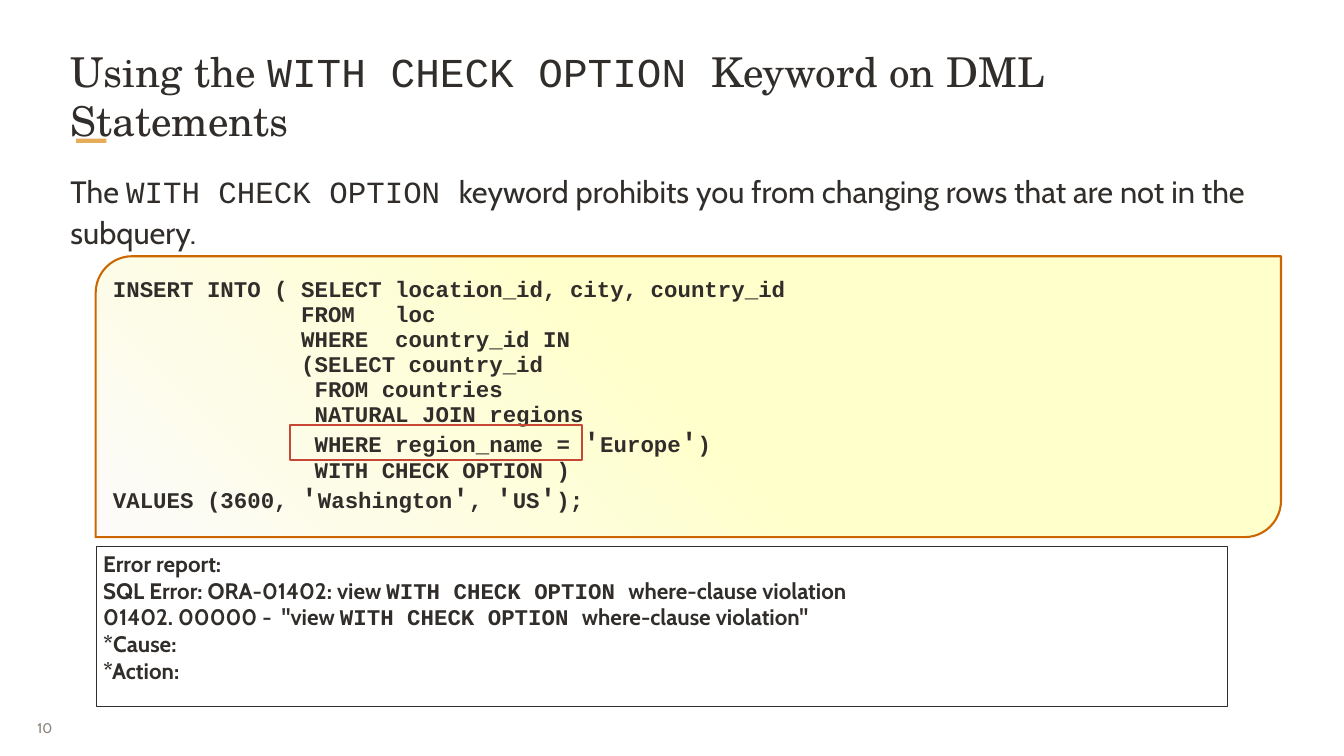
"""Build a slide on the WITH CHECK OPTION keyword in DML statements."""
import dataclasses

import lxml.etree
import pptx
import pptx.dml.color
import pptx.enum.shapes
import pptx.enum.text
import pptx.oxml.ns
import pptx.util

Pt = pptx.util.Pt
SHAPES = pptx.enum.shapes.MSO_SHAPE
ALIGN = pptx.enum.text.PP_ALIGN
ANCHOR = pptx.enum.text.MSO_ANCHOR


@dataclasses.dataclass(frozen=True)
class Theme:
    ink: str = "312D2A"
    muted: str = "8B8078"
    accent: str = "E6AC58"
    alert: str = "C74634"
    code_line: str = "CC6600"
    code_fill: str = "FFFFCC"
    code_fade: str = "FCFBFA"
    heading: str = "TeX Gyre Schola"
    sans: str = "Cabin"
    mono: str = "Courier New"
    title_size: int = 44
    body_size: int = 33
    quote_size: int = 30
    code_size: int = 24
    number_size: int = 15


THEME = Theme()
KEYWORD = "WITH CHECK OPTION "
TITLE = f"Using the {KEYWORD}Keyword on DML Statements"
BODY = (f"The {KEYWORD}keyword prohibits you from changing rows "
        "that are not in the subquery.")
CODE = """\
INSERT INTO ( SELECT location_id, city, country_id
              FROM   loc
              WHERE  country_id IN
              (SELECT country_id
               FROM countries
               NATURAL JOIN regions
               WHERE region_name = 'Europe')
               WITH CHECK OPTION )
VALUES (3600, 'Washington', 'US');"""
ERROR = f"""\
Error report:
SQL Error: ORA-01402: view {KEYWORD}where-clause violation
01402. 00000 -  "view {KEYWORD}where-clause violation"
*Cause:
*Action:"""


def color(value):
    """Turn a hex string into a colour."""
    return pptx.dml.color.RGBColor.from_string(value)


def place(box, left, top, width, height):
    """Move and size a box, in points."""
    box.left, box.top, box.width, box.height = map(Pt, (left, top, width, height))


def set_frame(frame, insets, anchor=ANCHOR.TOP, wrap=True):
    """Set the margins, anchor and wrapping of a text frame."""
    frame.auto_size = pptx.enum.text.MSO_AUTO_SIZE.NONE
    frame.word_wrap = wrap
    frame.vertical_anchor = anchor
    (frame.margin_left, frame.margin_top,
     frame.margin_right, frame.margin_bottom) = map(Pt, insets)


def format_span(span, font, size, bold, ink=THEME.ink):
    """Give a span its font, size, weight and colour."""
    span.font.name = font
    span.font.size = Pt(size)
    span.font.bold = bold
    span.font.color.rgb = color(ink)


def write(frame, text, mark, base, marked, bold=False, spacing=None):
    """Write lines, giving each occurrence of mark its own font and size."""
    for index, line in enumerate(text.split("\n")):
        para = frame.add_paragraph() if index else frame.paragraphs[0]
        para.alignment = ALIGN.LEFT
        para.space_before = Pt(0)
        para.line_spacing = spacing
        for position, piece in enumerate(line.split(mark)):
            if position:
                span = para.add_run()
                span.text = mark
                format_span(span, *marked, bold)
            if piece:
                span = para.add_run()
                span.text = piece
                format_span(span, *base, bold)


def add_box(page, kind, bounds, line=None, weight=0):
    """Add an unfilled shape with an optional outline."""
    box = page.shapes.add_shape(kind, *map(Pt, bounds))
    box.shadow.inherit = False
    box.fill.background()
    if line:
        box.line.color.rgb = color(line)
        box.line.width = Pt(weight)
    else:
        box.line.fill.background()
    return box


def fill_placeholder(box, bounds, text, font, size, spacing=None):
    """Place a template placeholder and write its text without a bullet."""
    place(box, *bounds)
    set_frame(box.text_frame, (2, 2, 2, 2))
    properties = box.text_frame.paragraphs[0]._p.get_or_add_pPr()
    properties.set("marL", "0")
    properties.set("indent", "0")
    lxml.etree.SubElement(properties, pptx.oxml.ns.qn("a:buNone"))
    write(box.text_frame, text, KEYWORD, (font, size), (THEME.mono, size),
          spacing=spacing)


def add_code(page, bounds):
    """Add the SQL statement on a gradient panel."""
    box = add_box(page, SHAPES.ROUND_2_DIAG_RECTANGLE, bounds, THEME.code_line, 2.25)
    box.adjustments[0] = 0.13
    box.fill.gradient()
    box.fill.gradient_angle = 225
    start, end = box.fill.gradient_stops
    start.position = 0.5
    start.color.rgb = color(THEME.code_fill)
    end.color.rgb = color(THEME.code_fade)
    set_frame(box.text_frame, (7, 11, 1.5, 1.5))
    write(box.text_frame, CODE, "'", (THEME.mono, THEME.code_size),
          (THEME.mono, THEME.quote_size), bold=True, spacing=0.93)


def add_error(page, bounds):
    """Add the outlined error report."""
    box = add_box(page, SHAPES.RECTANGLE, bounds, THEME.ink, 0.75)
    set_frame(box.text_frame, (7.2, 3.6, 7.2, 3.6))
    write(box.text_frame, ERROR, KEYWORD, (THEME.sans, THEME.code_size),
          (THEME.mono, THEME.code_size), bold=True)


def add_page_number(page, bounds, number):
    """Add the page number in the lower left corner."""
    box = page.shapes.add_textbox(*map(Pt, bounds))
    set_frame(box.text_frame, (9, 5, 9, 5), ANCHOR.MIDDLE, wrap=False)
    box.text_frame.text = number
    para = box.text_frame.paragraphs[0]
    para.alignment = ALIGN.JUSTIFY
    format_span(para.runs[0], THEME.sans, THEME.number_size, False, THEME.muted)


def main():
    """Build and save the deck."""
    deck = pptx.Presentation()
    deck.slide_width, deck.slide_height = Pt(1440), Pt(810)
    page = deck.slides.add_slide(deck.slide_layouts[1])
    fill_placeholder(page.shapes.title, (73.5, 48, 1293, 92), TITLE,
                     THEME.heading, THEME.title_size)
    fill_placeholder(page.placeholders[1], (73.5, 179.5, 1293, 132.5), BODY,
                     THEME.sans, THEME.body_size, spacing=1.1)
    rule = add_box(page, SHAPES.RECTANGLE, (81.5, 148.5, 32.5, 4.5))
    rule.fill.solid()
    rule.fill.fore_color.rgb = color(THEME.accent)
    add_code(page, (102.5, 274.5, 1270, 301))
    add_box(page, SHAPES.RECTANGLE, (310.5, 455.5, 313, 37.5), THEME.alert, 2.25)
    add_error(page, (103.5, 585.5, 1212, 171.5))
    add_page_number(page, (31, 759, 47, 42), "10")
    deck.save("out.pptx")


if __name__ == "__main__":
    main()
